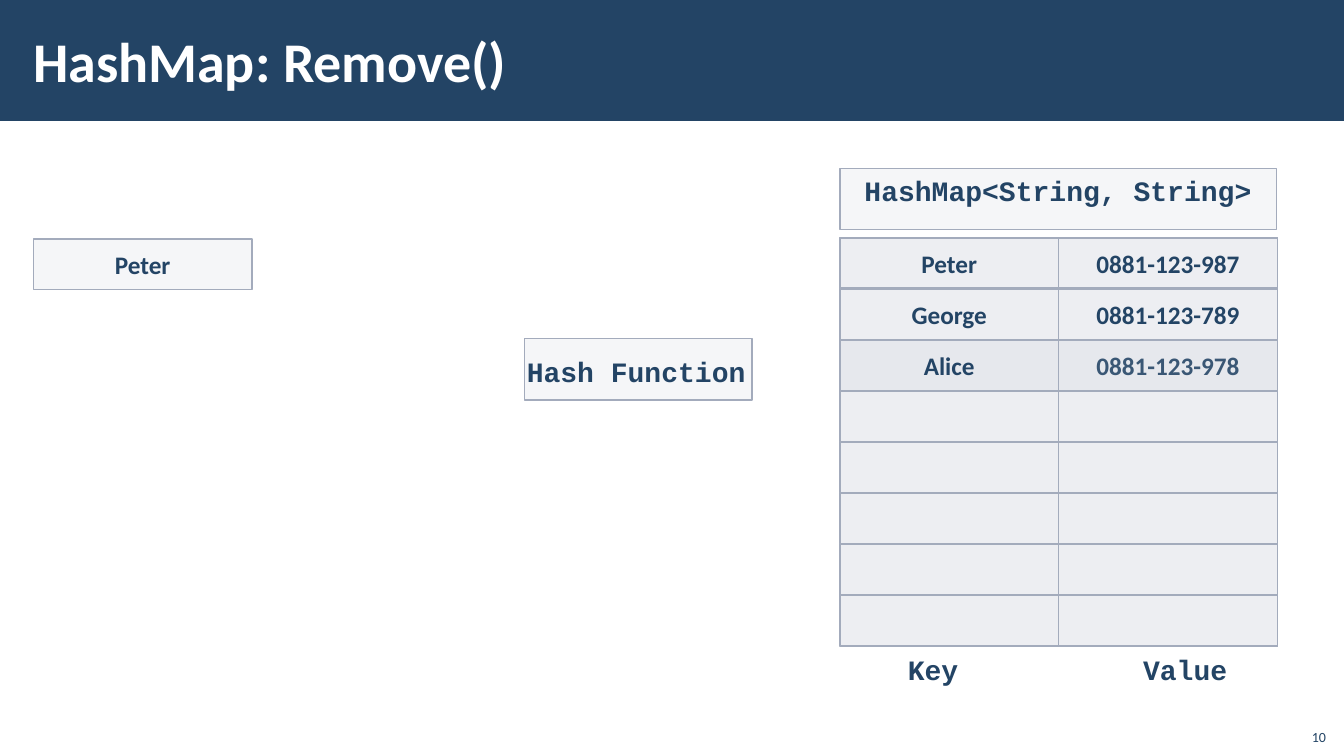
import pptx
import pptx.util
import pptx.dml.color
import pptx.enum.shapes
import pptx.enum.text
import pptx.oxml
import pptx.oxml.ns

Inches = pptx.util.Inches
Align = pptx.enum.text.PP_ALIGN
Anchor = pptx.enum.text.MSO_ANCHOR
NAVY, PALE, EDGE, WHITE = "234465", "C2C7D2", "A3ABBC", "FFFFFF"
CELL_W, CELL_H = 2.17, 0.5
MAP_X, MAP_Y, MAP_W, STEP = 8.33, 2.36, 4.33, 0.507
ROWS = [("Peter", "0881-123-987"), ("George", "0881-123-789"),
        ("Alice", "0881-123-978")] + [("", "")] * 5


def color(code):
    """Turn a hex string into a colour."""
    return pptx.dml.color.RGBColor.from_string(code)


def place(item, x, y, w, h):
    """Set the position and size of a shape in inches."""
    item.left, item.top = Inches(x), Inches(y)
    item.width, item.height = Inches(w), Inches(h)


def write(frame, text, size, font="Calibri", tint=NAVY, bold=True,
          align=Align.CENTER):
    """Fill a text frame with one styled paragraph."""
    frame.text = text
    line = frame.paragraphs[0]
    line.alignment = align
    line.font.size = pptx.util.Pt(size)
    line.font.name = font
    line.font.bold = bold
    line.font.color.rgb = color(tint)


def rect(slide, x, y, w, h, fill):
    """Add a plain filled rectangle without a line."""
    shape = slide.shapes.add_shape(
        pptx.enum.shapes.MSO_SHAPE.RECTANGLE,
        Inches(x), Inches(y), Inches(w), Inches(h))
    shape.shadow.inherit = False
    shape.fill.solid()
    shape.fill.fore_color.rgb = color(fill)
    shape.line.fill.background()
    return shape


def box(slide, x, y, w=CELL_W, h=CELL_H, text=""):
    """Add a see-through outlined box, with text if given."""
    shape = rect(slide, x, y, w, h, PALE)
    tint = shape.fill._xPr.find(".//" + pptx.oxml.ns.qn("a:srgbClr"))
    tint.append(pptx.oxml.parse_xml(
        "<a:alpha %s val='15000'/>" % pptx.oxml.ns.nsdecls("a")))
    shape.line.color.rgb = color(EDGE)
    shape.line.width = pptx.util.Pt(1)
    if text:
        frame = shape.text_frame
        frame.margin_left = frame.margin_right = Inches(0.2)
        frame.margin_top = frame.margin_bottom = Inches(0.1)
        frame.vertical_anchor = Anchor.MIDDLE
        write(frame, text, 18)


def label(slide, text, x, y, w):
    """Add a centred code label."""
    area = slide.shapes.add_textbox(
        Inches(x), Inches(y), Inches(w), Inches(0.44))
    area.text_frame.word_wrap = True
    write(area.text_frame, text, 20, "Courier New")


def header(slide, text):
    """Format the title and lay the bar behind it."""
    title = slide.shapes.title
    place(title, 0.21, 0.11, 10.63, 0.97)
    frame = title.text_frame
    frame.margin_left = frame.margin_right = Inches(0.12)
    frame.margin_top = frame.margin_bottom = Inches(0.04)
    frame.vertical_anchor = Anchor.MIDDLE
    write(frame, text, 40, tint=WHITE, align=Align.LEFT)
    bar = rect(slide, 0, 0, 13.34, 1.2, NAVY)
    title._element.addprevious(bar._element)


def grid(slide):
    """Draw each map cell as a base box under a text box."""
    for row, pair in enumerate(ROWS):
        for col, text in enumerate(pair):
            x, y = MAP_X + col * CELL_W, MAP_Y + row * STEP
            layers = ["", text]
            if pair[0] == "Alice":
                layers.insert(2 * col, "")
            for layer in layers:
                box(slide, x, y, text=layer)


def number(slide, text):
    """Add the slide number at the lower right."""
    area = slide.shapes.add_textbox(
        Inches(12.85), Inches(7.12), Inches(0.4), Inches(0.32))
    area.text_frame.word_wrap = True
    area.text_frame.vertical_anchor = Anchor.BOTTOM
    write(area.text_frame, text, 10, bold=False, align=Align.RIGHT)


def main():
    """Build the slide and save it."""
    deck = pptx.Presentation()
    deck.slide_width, deck.slide_height = Inches(13.33), Inches(7.5)
    slide = deck.slides.add_slide(deck.slide_layouts[5])
    header(slide, "HashMap: Remove()")
    box(slide, MAP_X, 1.67, MAP_W, 0.61)
    label(slide, "HashMap<String, String>", MAP_X, 1.67, MAP_W)
    grid(slide)
    label(slide, "Key", 8.17, 6.42, CELL_W)
    label(slide, "Value", 10.67, 6.42, CELL_W)
    box(slide, 0.33, 2.37, text="Peter")
    box(slide, 5.2, 3.36, 2.26, 0.61)
    label(slide, "Hash Function", 4.92, 3.47, 2.78)
    number(slide, "10")
    deck.save("out.pptx")


if __name__ == "__main__":
    main()
